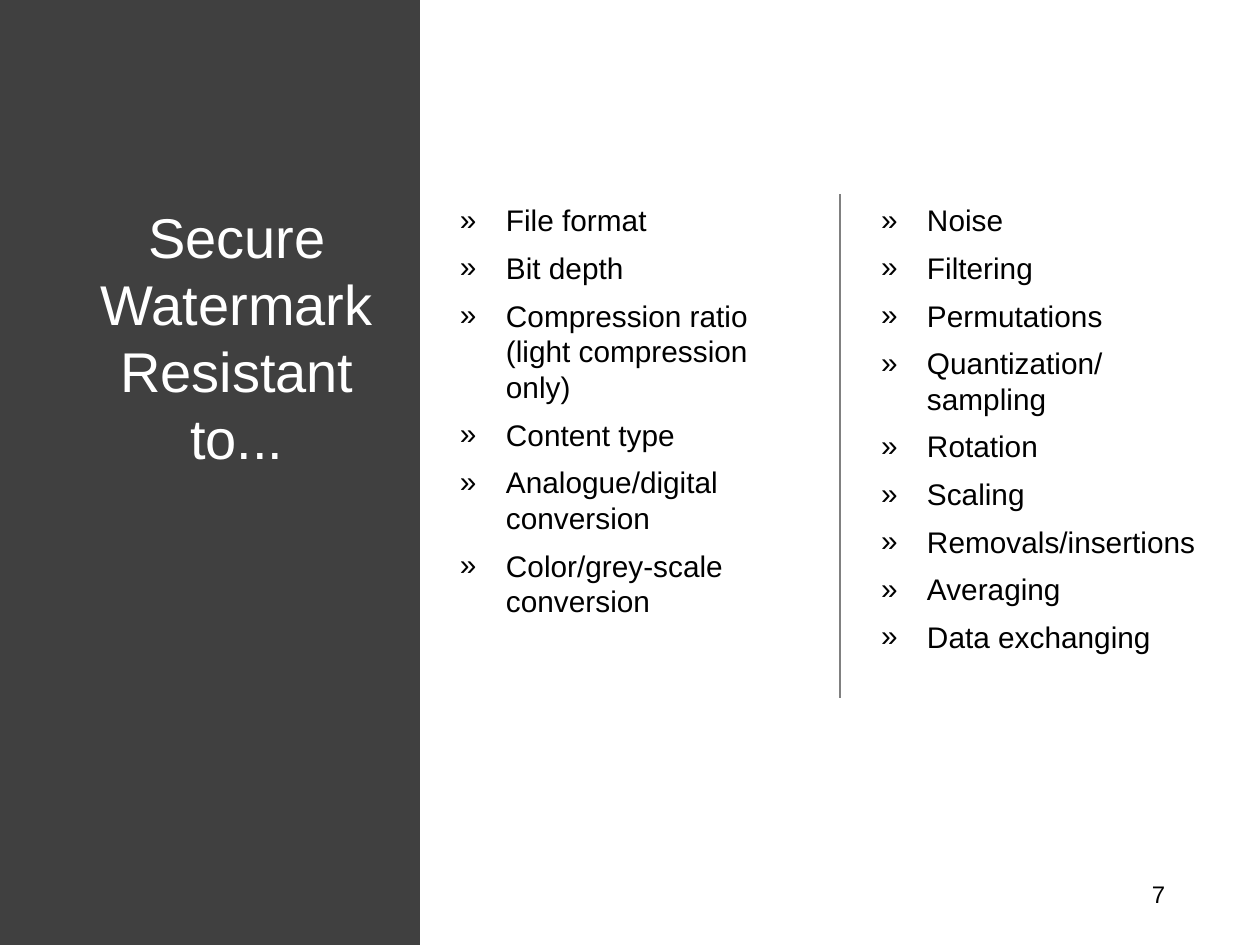
from lxml.etree import SubElement
from pptx import Presentation
from pptx.dml.color import RGBColor
from pptx.enum.shapes import MSO_CONNECTOR, MSO_SHAPE
from pptx.enum.text import PP_ALIGN
from pptx.oxml.ns import qn
from pptx.util import Pt

EMU_PER_PX = 914400 / 126
WHITE = RGBColor(0xFF, 0xFF, 0xFF)
BLACK = RGBColor(0x00, 0x00, 0x00)
CHARCOAL = RGBColor(0x40, 0x40, 0x40)
GREY = RGBColor(0x80, 0x80, 0x80)

SLIDE_WIDTH, SLIDE_HEIGHT = 1260, 945
CONTENT_TOP, CONTENT_HEIGHT = 194, 601

CHANGES = ["File format", "Bit depth", "Compression ratio (light compression only)",
           "Content type", "Analogue/digital conversion", "Color/grey-scale conversion"]
ATTACKS = ["Noise", "Filtering", "Permutations", "Quantization/sampling", "Rotation",
           "Scaling", "Removals/insertions", "Averaging", "Data exchanging"]


def px(length):
    return round(length * EMU_PER_PX)


class SlideBuilder:
    """Holds the text style and the slide being filled."""

    font = "Arial"
    inset = px(8)
    indent = px(46)

    def __init__(self, slide):
        self.slide = slide

    def background(self, color):
        fill = self.slide.background.fill
        fill.solid()
        fill.fore_color.rgb = color

    def panel(self, left, top, width, height, color):
        shape = self.slide.shapes.add_shape(
            MSO_SHAPE.RECTANGLE, px(left), px(top), px(width), px(height))
        shape.shadow.inherit = False
        shape.fill.solid()
        shape.fill.fore_color.rgb = color
        shape.line.fill.background()

    def line(self, start, end, color, width):
        connector = self.slide.shapes.add_connector(
            MSO_CONNECTOR.STRAIGHT, *map(px, start + end))
        connector.line.color.rgb = color
        connector.line.width = Pt(width)
        SubElement(connector._element.spPr, qn("a:effectLst"))

    def text(self, left, top, width, height, lines, size, color, align=PP_ALIGN.LEFT):
        """Add one paragraph per line and return the paragraphs."""
        box = self.slide.shapes.add_textbox(px(left), px(top), px(width), px(height))
        frame = box.text_frame
        frame.word_wrap = True
        frame.margin_left = frame.margin_right = self.inset
        frame.margin_top = frame.margin_bottom = self.inset
        for index, line in enumerate(lines):
            para = frame.add_paragraph() if index else frame.paragraphs[0]
            para.alignment = align
            span = para.add_run()
            span.text = line
            span.font.name = self.font
            span.font.size = Pt(size)
            span.font.color.rgb = color
        return frame.paragraphs

    def bullets(self, left, top, width, height, items, size, color):
        paras = self.text(left, top, width, height, items, size, color)
        for index, para in enumerate(paras):
            para.space_before = Pt(6.8 if index else 0)
            properties = para._p.get_or_add_pPr()
            properties.set("marL", str(self.indent))
            properties.set("indent", str(-self.indent))
            bullet_color = SubElement(properties, qn("a:buClr"))
            SubElement(bullet_color, qn("a:srgbClr"), val=str(color))
            SubElement(properties, qn("a:buFont"), typeface=self.font)
            SubElement(properties, qn("a:buChar"), char="»")


def main():
    deck = Presentation()
    deck.slide_width, deck.slide_height = px(SLIDE_WIDTH), px(SLIDE_HEIGHT)
    page = SlideBuilder(deck.slides.add_slide(deck.slide_layouts[6]))

    page.background(WHITE)
    page.panel(0, 0, SLIDE_WIDTH // 3, SLIDE_HEIGHT, CHARCOAL)
    page.text(87, CONTENT_TOP, 300, CONTENT_HEIGHT,
              ["Secure Watermark Resistant to..."], 32, WHITE, PP_ALIGN.CENTER)

    page.bullets(452, CONTENT_TOP, 354, CONTENT_HEIGHT, CHANGES, 17, BLACK)
    page.line((840, CONTENT_TOP), (840, 698), GREY, 1)
    page.bullets(873, CONTENT_TOP, 331, CONTENT_HEIGHT, ATTACKS, 17, BLACK)

    number = page.text(951, 876, 222, 50, ["7"], 13.7, BLACK, PP_ALIGN.RIGHT)[0]
    number.line_spacing = 0.87
    number.space_after = Pt(6)

    deck.save("out.pptx")


if __name__ == "__main__":
    main()
